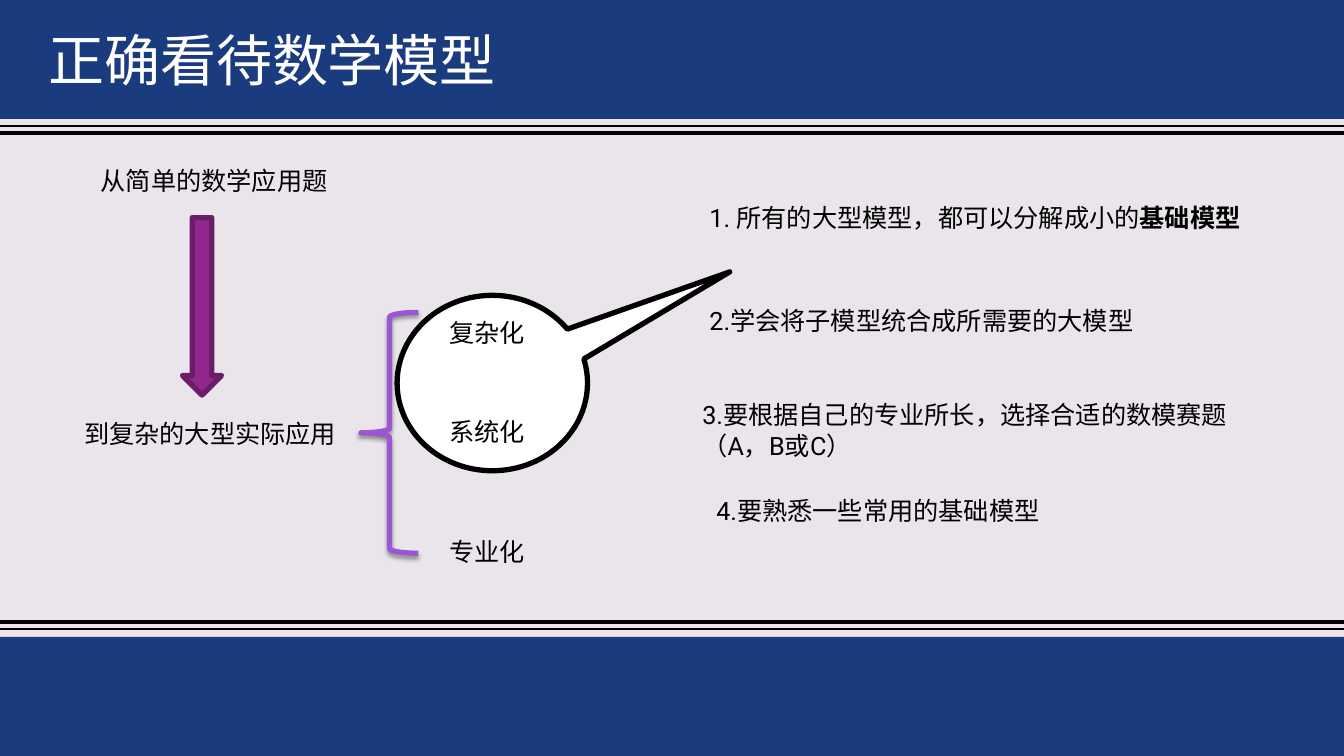
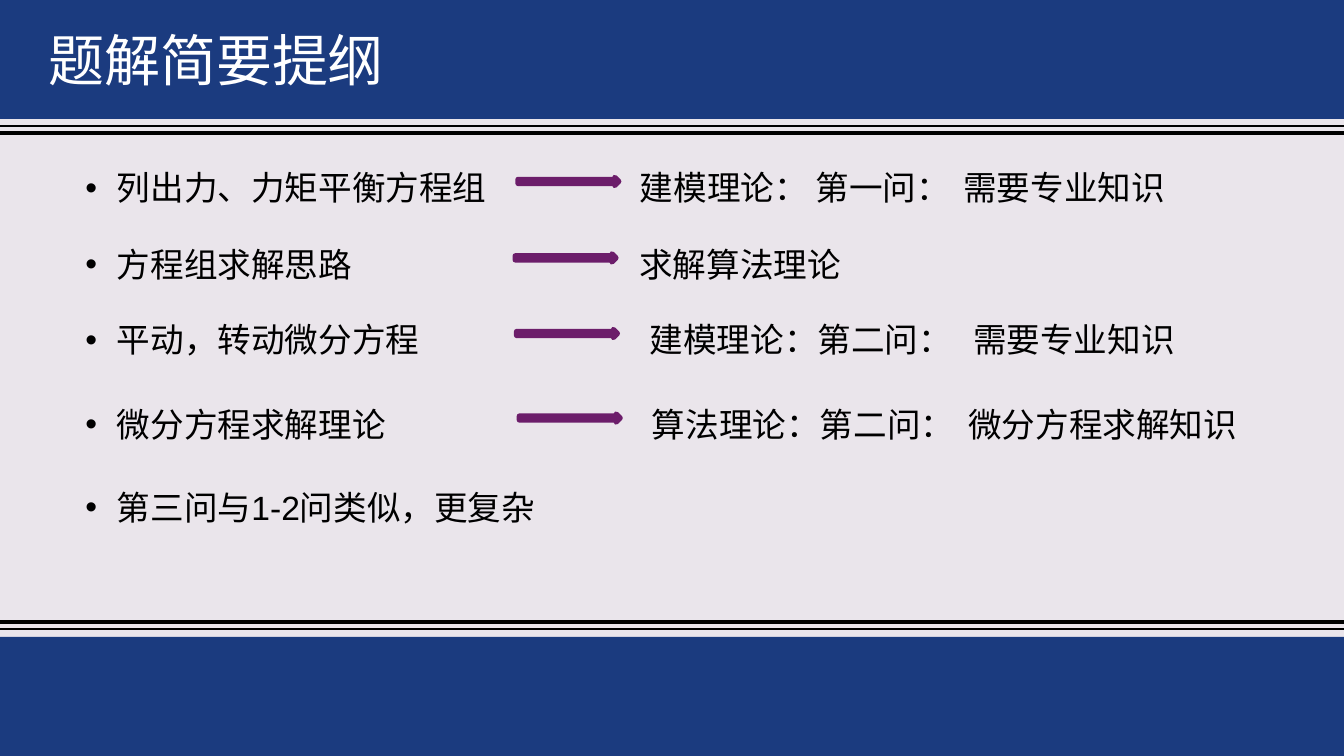
from lxml import etree
from pptx import Presentation
from pptx.dml.color import RGBColor
from pptx.enum import shapes, text
from pptx.oxml import ns
from pptx.util import Pt

WIDTH, HEIGHT, BAND = 960, 540, 85
NAVY, PAPER, WHITE, BLACK = "1B3B7F", "EAE5EB", "FFFFFF", "000000"
PLUM, DARK_PLUM, VIOLET = "92278F", "6C1D6A", "9B57D3"
CJK, LATIN, BULLET_FONT = "Noto Sans CJK SC", "Roboto", "Arial"
OUTLINE = 3.78
KIND = shapes.MSO_SHAPE


def rgb(code):
    """Turn a hex string into a colour."""
    return RGBColor.from_string(code)


def add_xml(parent, tag, **attributes):
    """Append a drawing element and return it."""
    return etree.SubElement(parent, ns.qn(tag), attributes)


def add_block(slide, kind, box, fill=None, line=None, weight=OUTLINE):
    """Add a flat preset shape."""
    block = slide.shapes.add_shape(kind, *map(Pt, box))
    block.shadow.inherit = False
    if fill:
        block.fill.solid()
        block.fill.fore_color.rgb = rgb(fill)
    else:
        block.fill.background()
    if line:
        block.line.color.rgb = rgb(line)
        block.line.width = Pt(weight)
    else:
        block.line.fill.background()
    return block


def add_rule(slide, y, weight):
    """Draw a black rule across the slide."""
    rule = slide.shapes.add_connector(
        shapes.MSO_CONNECTOR.STRAIGHT, Pt(0), Pt(y), Pt(WIDTH), Pt(y))
    rule.line.color.rgb = rgb(BLACK)
    rule.line.width = Pt(weight)
    add_xml(rule._element.spPr, "a:effectLst")


def add_text(slide, box, content, size, font=LATIN, color=BLACK, strong="",
             bullet=False, tab=None):
    """Add one paragraph with an optional bold ending, bullet or tab stop."""
    label = slide.shapes.add_textbox(*map(Pt, box))
    frame = label.text_frame
    frame.word_wrap = True
    frame.auto_size = text.MSO_AUTO_SIZE.SHAPE_TO_FIT_TEXT
    paragraph = frame.paragraphs[0]
    for words, bold in ((content, False), (strong, True)):
        if words:
            run = paragraph.add_run()
            run.text = words
            run.font.size = Pt(size)
            run.font.bold = bold
            run.font.name = font
            run.font.color.rgb = rgb(color)
            add_xml(run.font._element, "a:ea", typeface=CJK)
    properties = paragraph._p.get_or_add_pPr()
    if bullet:
        properties.set("marL", str(Pt(22.5)))
        properties.set("indent", str(-Pt(22.5)))
        add_xml(properties, "a:buFont", typeface=BULLET_FONT)
        add_xml(properties, "a:buChar", char="•")
    if tab:
        stops = add_xml(properties, "a:tabLst")
        add_xml(stops, "a:tab", pos=str(Pt(tab)), algn="l")


def add_page(deck, title):
    """Add a slide with its background, rules, bands and title."""
    slide = deck.slides.add_slide(deck.slide_layouts[6])
    slide.background.fill.solid()
    slide.background.fill.fore_color.rgb = rgb(PAPER)
    for y, weight in ((444.2, 3), (449.4, 1), (95, 3), (90, 1)):
        add_rule(slide, y, weight)
    for top in (HEIGHT - BAND, 0):
        add_block(slide, KIND.RECTANGLE, (0, top, WIDTH, BAND), NAVY)
    add_text(slide, (27.4, 15, 440, 55.4), title, 40, CJK, WHITE)
    return slide


def add_evolution(slide, left, top):
    """Show simple problems growing into complex applications."""
    callout = add_block(slide, KIND.OVAL_CALLOUT,
                        (left + 230.7, top + 96.5, 136, 125.3), WHITE, BLACK)
    callout.adjustments[0] = 1.247
    callout.adjustments[1] = -0.634
    add_text(slide, (left + 11.8, top, 206, 29), "从简单的数学应用题", 18)
    add_text(slide, (left, top + 180.7, 206, 29), "到复杂的大型实际应用", 18)
    add_block(slide, KIND.DOWN_ARROW, (left + 77.3, top + 41, 28, 126.7),
              PLUM, DARK_PLUM)
    brace = add_block(slide, KIND.LEFT_BRACE,
                      (left + 204.8, top + 108.7, 41, 172), line=VIOLET)
    effects = brace._element.spPr.find(ns.qn("a:effectLst"))
    shadow = add_xml(effects, "a:outerShdw", blurRad=str(Pt(3.1)),
                     dist=str(Pt(2)), dir="5400000", rotWithShape="0")
    tint = add_xml(shadow, "a:srgbClr", val=BLACK)
    add_xml(tint, "a:alpha", val="38000")
    for trait, drop in (("复杂化", 108.7), ("系统化", 179.3), ("专业化", 265)):
        add_text(slide, (left + 261, top + drop, 170, 29), trait, 18)


def add_advice(slide, left, top):
    """List the four points of advice."""
    advice = (
        (5, 0, "1. 所有的大型模型，都可以分解成小的", "基础模型"),
        (5, 73.5, "2.学会将子模型统合成所需要的大模型", ""),
        (0, 141, "3.要根据自己的专业所长，选择合适的数模赛题（A，B或C）", ""),
        (10, 209.5, "4.要熟悉一些常用的基础模型", ""),
    )
    for shift, drop, point, strong in advice:
        add_text(slide, (left + shift, top + drop, 433, 29), point, 18,
                 strong=strong)


def add_outline(slide, left, top):
    """Pair each solution step with the theory it needs."""
    steps = (
        (0, "列出力、力矩平衡方程组", 316, 396,
         "建模理论： 第一问：\t需要专业知识", 231),
        (54.6, "方程组求解思路", 314, 395.5, "求解算法理论", None),
        (108.6, "平动，转动微分方程", 315, 403,
         "建模理论：第二问：\t需要专业知识", 231),
        (169, "微分方程求解理论", 317, 404.6,
         "算法理论：第二问：\t微分方程求解知识", 226),
        (228, "第三问与1-2问类似，更复杂", None, None, "", None),
    )
    for drop, step, arrow, shift, theory, tab in steps:
        y = top + drop
        add_text(slide, (left, y, 310 if theory else 518, 36), step, 24,
                 BULLET_FONT, bullet=True)
        if theory:
            add_block(slide, KIND.RIGHT_ARROW, (left + arrow, y + 10.7, 72, 5.8),
                      PLUM, DARK_PLUM)
            add_text(slide, (left + shift, y, 500, 36), theory, 24, tab=tab)


def main():
    """Build and save the two slides."""
    deck = Presentation()
    deck.slide_width, deck.slide_height = Pt(WIDTH), Pt(HEIGHT)
    models = add_page(deck, "正确看待数学模型")
    add_evolution(models, 53, 114.5)
    add_advice(models, 494.6, 141)
    add_outline(add_page(deck, "题解简要提纲"), 54, 116)
    deck.save("out.pptx")


if __name__ == "__main__":
    main()
